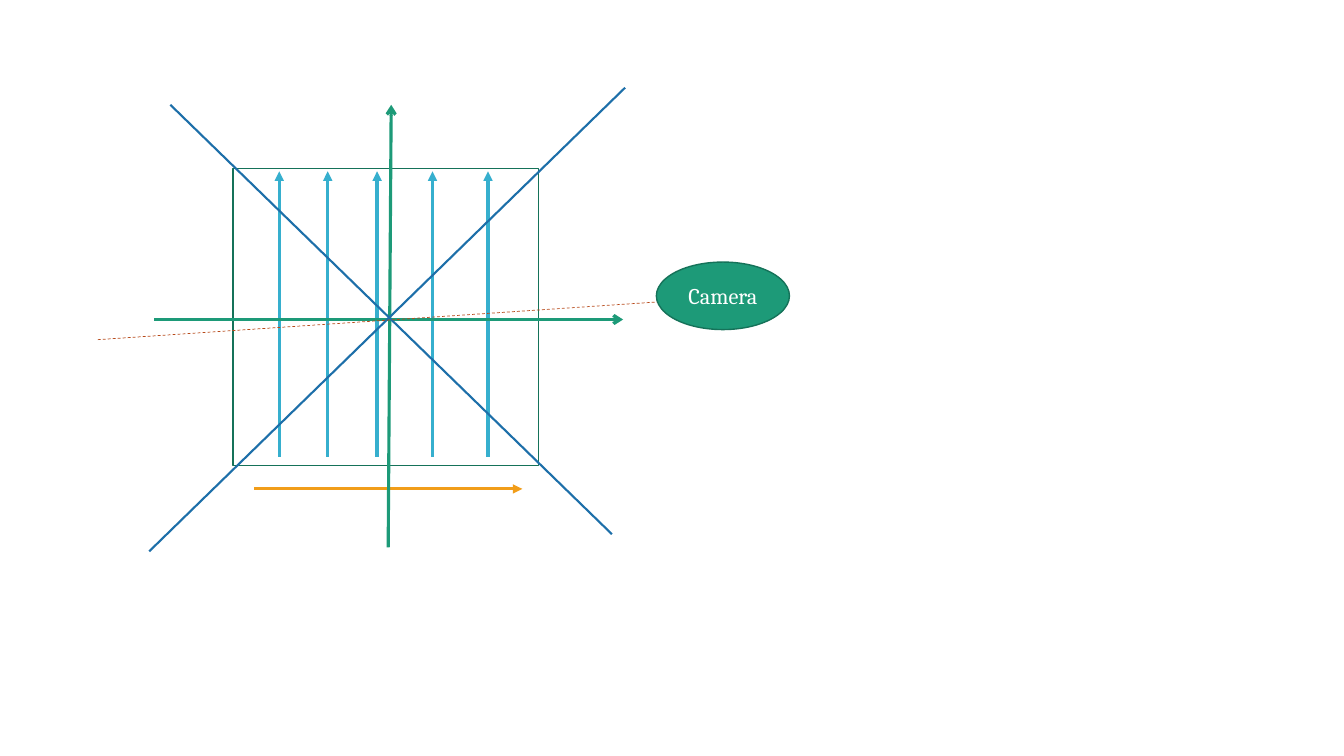
from pptx import Presentation
from pptx import util as u
from pptx.dml.color import RGBColor
from pptx.enum import dml, shapes, text
from pptx.oxml.ns import qn
from lxml import etree

PX = 9144  # EMU per px, 100 px to the inch
GREEN, DARK_GREEN = "1D9A78", "157259"
CYAN, ORANGE, BLUE, RED = "36AFCE", "F19D19", "1D6FA9", "B74919"


def px(n):
    return u.Emu(n * PX)


def rgb(color):
    return RGBColor.from_string(color)


def add_line(group, start, end, color, width, head=None, dashed=False):
    """Draw a straight line, with an arrowhead of type head at its end."""
    c = group.shapes.add_connector(shapes.MSO_CONNECTOR.STRAIGHT,
                                   *map(px, start + end))
    c.line.color.rgb = rgb(color)
    c.line.width = u.Pt(width)
    if dashed:
        c.line.dash_style = dml.MSO_LINE.DASH
    if head:
        etree.SubElement(c.line._get_or_add_ln(), qn("a:tailEnd"), type=head)
    etree.SubElement(c._element.spPr, qn("a:effectLst"))


def add_shape(group, kind, box, line, fill=None):
    sp = group.shapes.add_shape(kind, *map(px, box))
    sp.shadow.inherit = False
    sp.line.color.rgb = rgb(line)
    sp.line.width = u.Pt(1)
    if fill:
        sp.fill.solid()
        sp.fill.fore_color.rgb = rgb(fill)
    else:
        sp.fill.background()
    return sp


def set_text(sp, words, size=16, font="Cambria", color="FFFFFF"):
    tf = sp.text_frame
    tf.vertical_anchor = text.MSO_ANCHOR.MIDDLE
    p = tf.paragraphs[0]
    p.alignment = text.PP_ALIGN.CENTER
    r = p.add_run()
    r.text = words
    r.font.size = u.Pt(size)
    r.font.name = font
    r.font.color.rgb = rgb(color)


def main():
    prs = Presentation()
    prs.slide_width, prs.slide_height = px(1333), px(750)
    slide = prs.slides.add_slide(prs.slide_layouts[6])
    diagram = slide.shapes.add_group_shape()

    for x in (277, 325, 374, 429, 484):
        add_line(diagram, (x, 453), (x, 170), CYAN, 2.25, "triangle")
    add_line(diagram, (252, 485), (518, 485), ORANGE, 2.25, "triangle")

    add_shape(diagram, shapes.MSO_SHAPE.RECTANGLE, (231, 167, 303, 295),
              DARK_GREEN)

    for start, end in (((385, 543), (388, 104)), ((153, 317), (618, 317))):
        add_line(diagram, start, end, GREEN, 2.25, "arrow")
    for start, end in (((169, 104), (607, 530)), ((148, 547), (620, 87))):
        add_line(diagram, start, end, BLUE, 1.5)
    add_line(diagram, (97, 337), (735, 294), RED, 0.5, dashed=True)

    camera = add_shape(diagram, shapes.MSO_SHAPE.OVAL, (651, 260, 132, 67),
                       DARK_GREEN, GREEN)
    set_text(camera, "Camera")

    prs.save("out.pptx")


if __name__ == "__main__":
    main()
